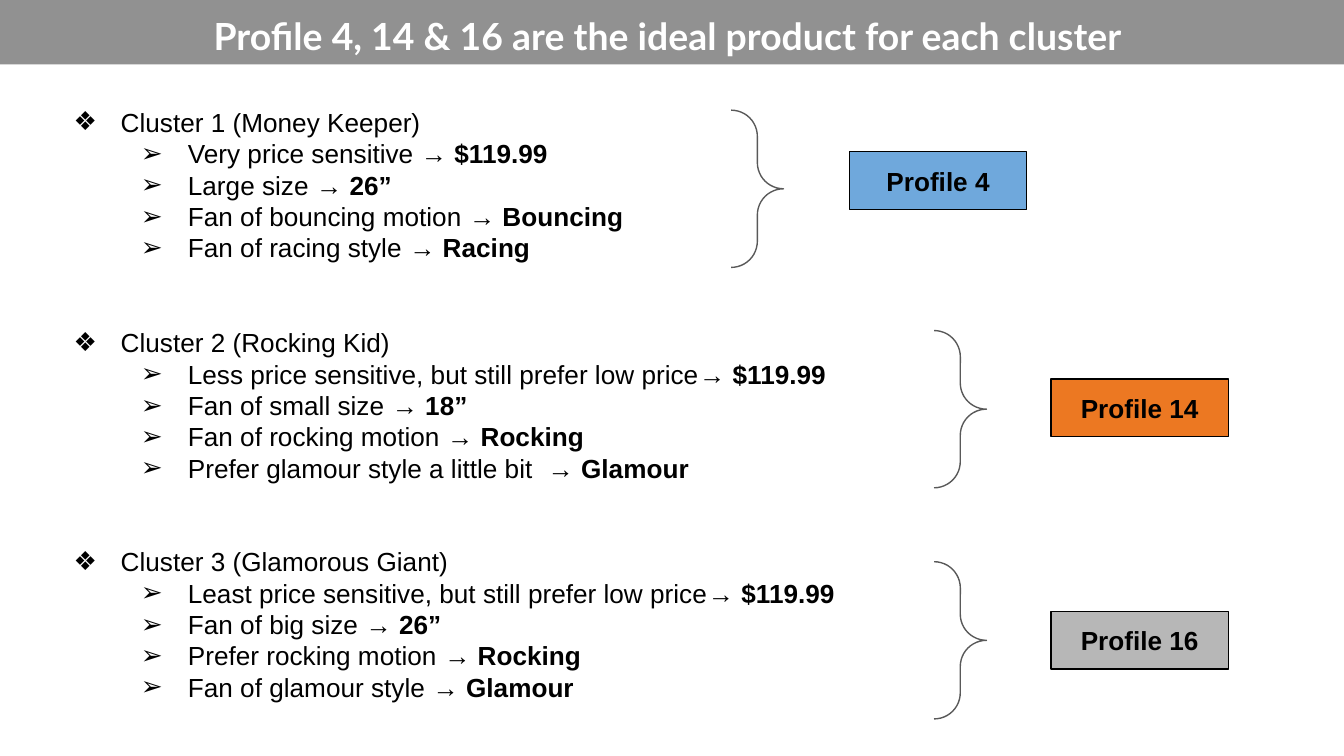
from pptx import Presentation
from pptx.dml.color import RGBColor
from pptx.enum.shapes import MSO_SHAPE
from pptx.enum.text import MSO_ANCHOR, PP_ALIGN
from pptx.oxml.ns import qn
from pptx.util import Inches, Pt
from lxml.etree import SubElement


def paint(target, color):
    if hasattr(target, "solid"):
        target.solid()
        target.fore_color.rgb = RGBColor.from_string(color)
    else:
        target.color.rgb = RGBColor.from_string(color)


class Deck:
    font = "Arial"
    size = 14
    ink = "000000"
    edge = "595959"
    inset = 0.1

    def __init__(self, slide):
        self.slide = slide

    def frame(self, shape, anchor=MSO_ANCHOR.TOP):
        frame = shape.text_frame
        frame.word_wrap = True
        frame.vertical_anchor = anchor
        frame.margin_left = frame.margin_right = Inches(self.inset)
        frame.margin_top = frame.margin_bottom = Inches(self.inset)
        return frame

    def style(self, para, font=None, size=None, color=None, bold=False):
        para.font.name = font or self.font
        para.font.size = Pt(size or self.size)
        para.font.bold = bold
        paint(para.font, color or self.ink)

    def shape(self, kind, box, fill=None, line=None):
        shape = self.slide.shapes.add_shape(kind, *map(Inches, box))
        shape.shadow.inherit = False
        if fill:
            paint(shape.fill, fill)
        else:
            shape.fill.background()
        if line:
            paint(shape.line, line)
            shape.line.width = Pt(0.75)
        else:
            shape.line.fill.background()
        return shape

    def banner(self, text):
        bar = self.shape(MSO_SHAPE.RECTANGLE, (-0.02, 0, 10.04, 0.48), "060606")
        tint = next(bar.fill._xPr.iter(qn("a:srgbClr")))
        SubElement(tint, qn("a:alpha"), val="44000")
        box = self.slide.shapes.add_textbox(0, 0, Inches(10), Inches(0.43))
        para = self.frame(box).paragraphs[0]
        para.text = text
        para.alignment = PP_ALIGN.CENTER
        self.style(para, "Lato", 20, "FFFFFF", True)

    def bullet(self, para, mark, level):
        para.level = level
        props = para._p.get_or_add_pPr()
        props.set("marL", str(Inches(0.5 + 0.5 * level)))
        props.set("indent", str(Inches(-0.35)))
        tint = SubElement(props, qn("a:buClr"))
        SubElement(tint, qn("a:srgbClr"), val=self.ink)
        SubElement(props, qn("a:buSzPts"), val=str(self.size * 100))
        SubElement(props, qn("a:buFont"), typeface=self.font)
        SubElement(props, qn("a:buChar"), char=mark)
        self.style(para)

    def cluster(self, top, width, name, traits):
        box = self.slide.shapes.add_textbox(*map(Inches, (0.3, top, width, 1.3)))
        frame = self.frame(box)
        head = frame.paragraphs[0]
        head.text = name
        self.bullet(head, "❖", 0)
        for trait, choice in traits:
            para = frame.add_paragraph()
            self.bullet(para, "➢", 1)
            para.add_run().text = trait
            run = para.add_run()
            run.text = "→ " + choice
            run.font.bold = True

    def brace(self, left, top):
        brace = self.shape(MSO_SHAPE.RIGHT_BRACE, (left, top, 0.39, 1.17), line=self.edge)
        brace.adjustments[0] = 0.5
        brace.adjustments[1] = 0.5

    def label(self, left, top, text, fill):
        box = self.shape(MSO_SHAPE.RECTANGLE, (left, top, 1.32, 0.43), fill, self.ink)
        para = self.frame(box, MSO_ANCHOR.MIDDLE).paragraphs[0]
        para.text = text
        para.alignment = PP_ALIGN.CENTER
        self.style(para, bold=True)


GROUPS = [
    (0.69, 5.14, "Cluster 1 (Money Keeper)", [
        ("Very price sensitive ", "$119.99"),
        ("Large size ", "26”"),
        ("Fan of bouncing motion ", "Bouncing"),
        ("Fan of racing style ", "Racing"),
    ], (5.44, 0.82), (6.32, 1.13), "Profile 4", "6FA8DC"),
    (2.33, 6.26, "Cluster 2 (Rocking Kid)", [
        ("Less price sensitive, but still prefer low price", "$119.99"),
        ("Fan of small size ", "18”"),
        ("Fan of rocking motion ", "Rocking"),
        ("Prefer glamour style a little bit  ", "Glamour"),
    ], (6.95, 2.46), (7.82, 2.82), "Profile 14", "EC7822"),
    (3.96, 6.26, "Cluster 3 (Glamorous Giant)", [
        ("Least price sensitive, but still prefer low price", "$119.99"),
        ("Fan of big size ", "26”"),
        ("Prefer rocking motion ", "Rocking"),
        ("Fan of glamour style ", "Glamour"),
    ], (6.95, 4.18), (7.82, 4.55), "Profile 16", "B7B7B7"),
]


def main():
    show = Presentation()
    show.slide_width = Inches(10)
    show.slide_height = Inches(10 * 9 / 16)
    deck = Deck(show.slides.add_slide(show.slide_layouts[6]))
    deck.banner("Profile 4, 14 & 16 are the ideal product for each cluster ")
    for top, width, name, traits, brace, spot, label, fill in GROUPS:
        deck.cluster(top, width, name, traits)
        deck.brace(*brace)
        deck.label(*spot, label, fill)
    show.save("out.pptx")


if __name__ == "__main__":
    main()
